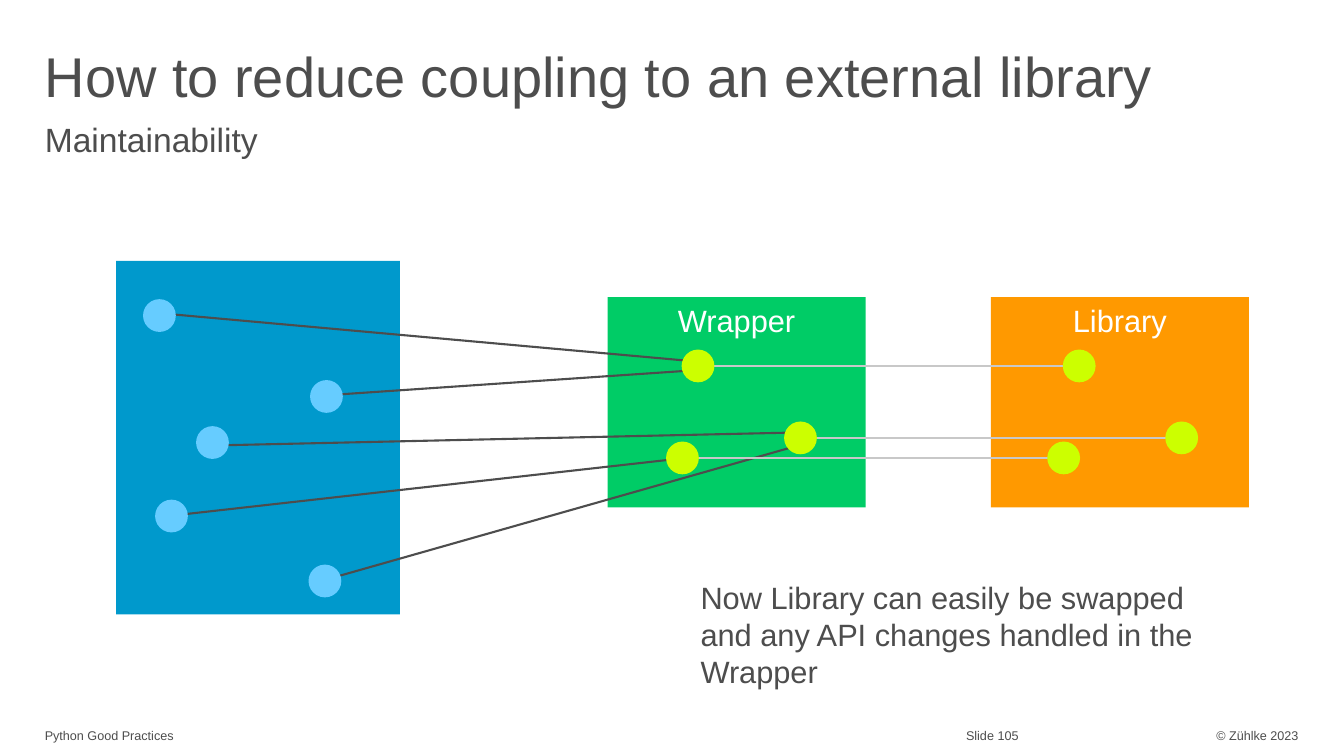
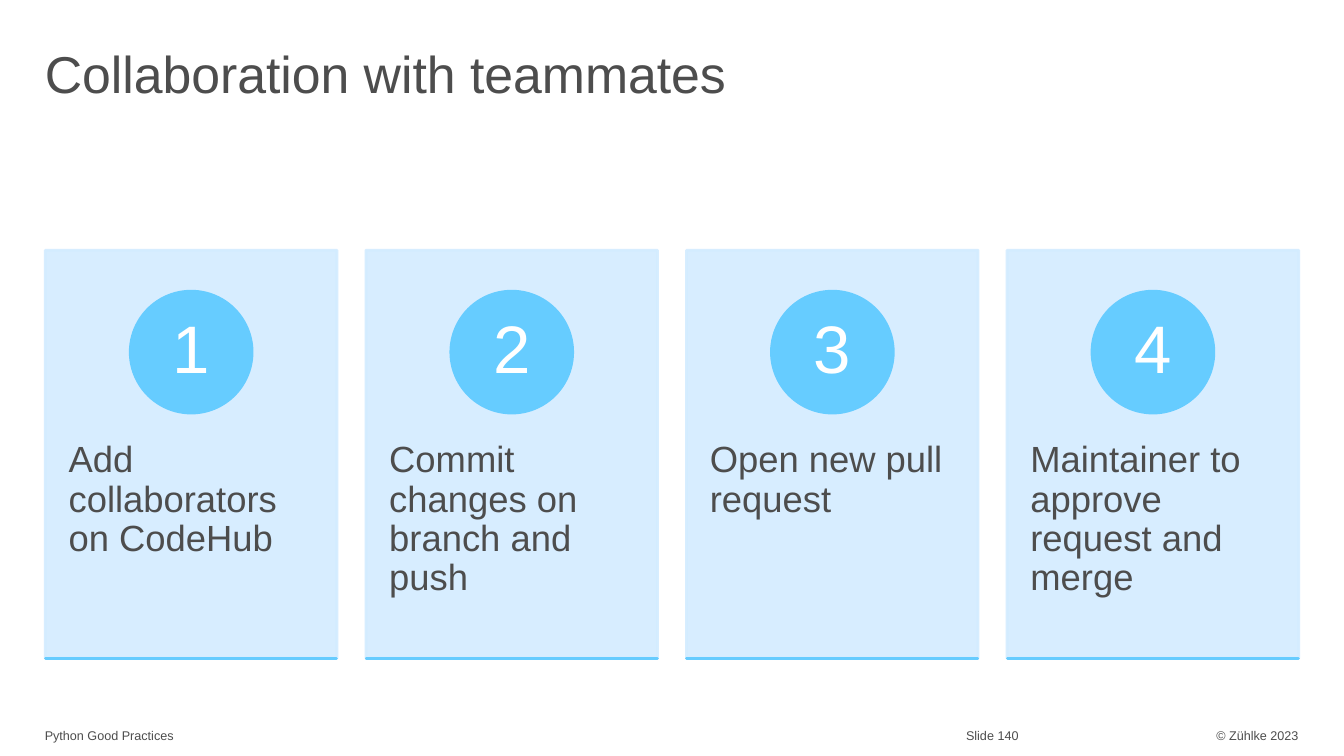
"""Build two slides on good practices: a wrapper diagram and four steps of teamwork."""
from dataclasses import dataclass

from lxml.etree import SubElement
from pptx import Presentation
from pptx.dml.color import RGBColor
from pptx.enum.shapes import MSO_CONNECTOR, MSO_SHAPE
from pptx.enum.text import MSO_ANCHOR, PP_ALIGN
from pptx.oxml.ns import qn
from pptx.util import Pt


@dataclass(frozen=True)
class Theme:
    font: str = "Arial"
    ink: str = "4D4D4D"
    white: str = "FFFFFF"
    grey: str = "C8C8C8"
    blue: str = "0099CC"
    sky: str = "66CCFF"
    pale: str = "D3ECFF"
    green: str = "00CC66"
    orange: str = "FF9900"
    lime: str = "CCFF00"
    sub: int = 24
    body: int = 22
    step: int = 26
    digit: int = 48
    foot: int = 9
    stroke: float = 1.5
    edge: int = 2


theme = Theme()


def write(shape, text, size, color=theme.ink, align=PP_ALIGN.LEFT, space=1.0,
          inset=(0, 0, 0, 0), anchor=MSO_ANCHOR.TOP):
    frame = shape.text_frame
    frame.word_wrap = True
    frame.vertical_anchor = anchor
    frame.margin_left, frame.margin_top, frame.margin_right, frame.margin_bottom = map(Pt, inset)
    para = frame.paragraphs[0]
    para.alignment = align
    para.line_spacing = space
    run = para.add_run()
    run.text = text
    run.font.name = theme.font
    run.font.size = Pt(size)
    run.font.color.rgb = RGBColor.from_string(color)


def draw(slide, form, box, fill, edge=False):
    shape = slide.shapes.add_shape(form, *map(Pt, box))
    shape.shadow.inherit = False
    shape.fill.solid()
    shape.fill.fore_color.rgb = RGBColor.from_string(fill)
    if edge:
        shape.line.color.rgb = RGBColor.from_string(fill)
        shape.line.width = Pt(theme.edge)
    else:
        shape.line.fill.background()
    return shape


deck = Presentation()
deck.slide_width, deck.slide_height = Pt(960), Pt(540)

pages = []
for title, size, number in [
    ("How to reduce coupling to an external library", 40, 105),
    ("Collaboration with teammates", 37, 140),
]:
    page = deck.slides.add_slide(deck.slide_layouts[6])
    pages.append(page)
    for box, text, points, align, space in [
        ((32, 32, 896, 52), title, size, PP_ALIGN.LEFT, 0.98),
        ((32, 520, 346, 12), "Python Good Practices", theme.foot, PP_ALIGN.LEFT, 1.0),
        ((690, 520, 120, 12), f"Slide {number}", theme.foot, PP_ALIGN.LEFT, 1.0),
        ((816, 520, 111.5, 12), "© Zühlke 2023", theme.foot, PP_ALIGN.RIGHT, 1.0),
    ]:
        write(page.shapes.add_textbox(*map(Pt, box)), text, points, align=align, space=space)

wrap, team = pages

label = wrap.shapes.add_textbox(Pt(32), Pt(86), Pt(896), Pt(29))
write(label, "Maintainability", theme.sub, space=0.98)

draw(wrap, MSO_SHAPE.RECTANGLE, (83, 186.4, 202.6, 252.5), theme.blue)
for left, name, fill in [(707.8, "Library", theme.orange), (434, "Wrapper", theme.green)]:
    block = draw(wrap, MSO_SHAPE.RECTANGLE, (left, 212.2, 184.3, 150.2), fill)
    write(block, name, theme.body, theme.white, PP_ALIGN.CENTER, inset=(7.2, 3.6, 7.2, 3.6))

calls = [(113.9, 225.4), (233.2, 283.2), (151.8, 316.1), (122.5, 368.6), (232.1, 415)]
ports = [(498.6, 261.4), (571.8, 312.8), (487.5, 327.1)]
shift = 272.3
twins = [(x + shift, y) for x, y in ports]

links = [
    (115.9, 223.9, 500.4, 258.5),
    (235.4, 282.2, 500.4, 264.2),
    (152.6, 318.2, 570.2, 308.9),
    (120.2, 368.6, 485.3, 327.6),
    (235.4, 413.3, 570.2, 318.2),
]
wires = [(link, theme.ink) for link in links]
wires += [((*port, *twin), theme.grey) for port, twin in zip(ports, twins)]
for ends, color in wires:
    wire = wrap.shapes.add_connector(MSO_CONNECTOR.STRAIGHT, *map(Pt, ends))
    wire.line.color.rgb = RGBColor.from_string(color)
    wire.line.width = Pt(theme.stroke)
    SubElement(wire.element.spPr, qn("a:effectLst"))

dot = 23.4
for spots, fill in [(calls, theme.sky), (twins, theme.lime), (ports, theme.lime)]:
    for x, y in spots:
        draw(wrap, MSO_SHAPE.OVAL, (x - dot / 2, y - dot / 2, dot, dot), fill)

note = wrap.shapes.add_textbox(Pt(500.4), Pt(413.3), Pt(386), Pt(84))
write(note, "Now Library can easily be swapped and any API changes handled in the Wrapper",
      theme.body)

steps = [
    "Add collaborators on CodeHub",
    "Commit changes on branch and push",
    "Open new pull request",
    "Maintainer to approve request and merge",
]
top, wide, high, pitch, disc = 178.7, 208.3, 291.6, 229, 87
for index, step in enumerate(steps):
    left = 32.4 + index * pitch
    card = draw(team, MSO_SHAPE.RECTANGLE, (left, top, wide, high), theme.pale, edge=True)
    for tint in card.element.spPr.iter(qn("a:srgbClr")):
        SubElement(tint, qn("a:alpha"), val="90000")
    write(card, step, theme.step, space=0.9, inset=(16.6, 136.6, 16.6, 26))
    badge = draw(team, MSO_SHAPE.OVAL, (left + (wide - disc) / 2, 208, disc, disc),
                 theme.sky, edge=True)
    write(badge, str(index + 1), theme.digit, theme.white, PP_ALIGN.CENTER, 0.9,
          (6.5, 0.7, 6.5, 0.7), MSO_ANCHOR.MIDDLE)
    draw(team, MSO_SHAPE.RECTANGLE, (left, top + high, wide, 0), theme.sky, edge=True)

deck.save("out.pptx")
